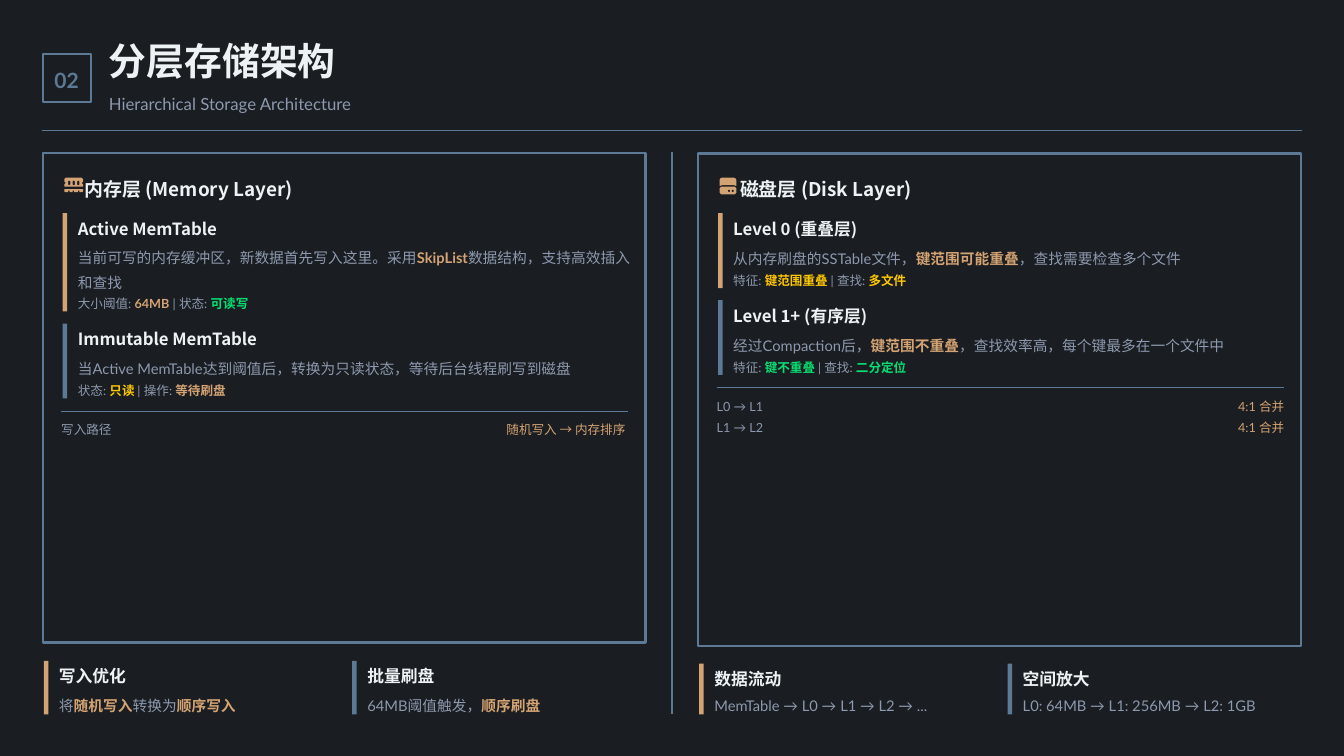
from dataclasses import dataclass

from lxml.etree import SubElement
from pptx import Presentation
from pptx.dml.color import RGBColor
from pptx.enum.shapes import MSO_CONNECTOR, MSO_SHAPE
from pptx.enum.text import MSO_ANCHOR, MSO_AUTO_SIZE, PP_ALIGN
from pptx.oxml.ns import qn
from pptx.util import Inches, Pt

COLORS = {"bg": "1A1D21", "steel": "5C7A96", "white": "EDF2F4", "grey": "8D99AE",
          "tan": "D4A373", "green": "05DF72", "yellow": "FDC700"}
LATO, NOTO = "Lato", "Noto Sans CJK SC"
TITLE_H, META_H, BODY_TOP, GAP = 0.33, 0.22, 0.39, 0.16

Run = tuple[str, str]  # text, colour name; colours other than grey are bold
Points = list[tuple[float, float]]


@dataclass
class Entry:
    title: str
    body: list[Run]
    meta: list[Run] | None = None
    body_h: float = 0.32
    spacing: float = 1.4

    @property
    def height(self) -> float:
        return BODY_TOP + self.body_h + (0.06 + META_H if self.meta else 0)


@dataclass
class Flow:
    label: str
    value: str
    label_w: float
    value_w: float


@dataclass
class Panel:
    x: float
    height: float
    heading: str
    icon: list[Points]
    entries: list[Entry]
    flows: list[Flow]
    notes: list[Entry]


def rgb(name: str) -> RGBColor:
    return RGBColor.from_string(COLORS[name])


def fill_text(sp, runs: list[Run], *, size: float, font: str = LATO,
              bold: bool | None = None, spacing: float = 1.3) -> None:
    tf = sp.text_frame
    tf.word_wrap, tf.auto_size = True, MSO_AUTO_SIZE.NONE
    tf.vertical_anchor = MSO_ANCHOR.MIDDLE
    tf.margin_left = tf.margin_right = tf.margin_top = tf.margin_bottom = 0
    p = tf.paragraphs[0]
    p.alignment, p.line_spacing = PP_ALIGN.LEFT, spacing
    p.space_before = Pt(0)
    for text, color in runs:
        r = p.add_run()
        r.text = text
        r.font.size, r.font.name = Pt(size), font
        r.font.bold = color != "grey" if bold is None else bold
        r.font.color.rgb = rgb(color)
        SubElement(r.font._element, qn("a:ea")).set("typeface", NOTO)


def add_text(s, x: float, y: float, w: float, h: float, runs: list[Run], **fmt) -> None:
    sp = s.shapes.add_textbox(Inches(x), Inches(y), Inches(w), Inches(h))
    fill_text(sp, runs, **fmt)


def add_rect(s, x: float, y: float, w: float, h: float, *,
             fill: str | None = None, line: str | None = None) -> None:
    sp = s.shapes.add_shape(MSO_SHAPE.RECTANGLE, Inches(x), Inches(y), Inches(w), Inches(h))
    sp.shadow.inherit = False
    if fill:
        sp.fill.solid()
        sp.fill.fore_color.rgb = rgb(fill)
    else:
        sp.fill.background()
    if line:
        sp.line.color.rgb, sp.line.width = rgb(line), Pt(2)
    else:
        sp.line.fill.background()


def add_rule(s, x1: float, y1: float, x2: float, y2: float) -> None:
    c = s.shapes.add_connector(MSO_CONNECTOR.STRAIGHT, Inches(x1), Inches(y1),
                               Inches(x2), Inches(y2))
    c.line.color.rgb, c.line.width = rgb("steel"), Pt(1)
    SubElement(c._element.spPr, qn("a:effectLst"))


def cut_box(x: float, y: float, w: float, h: float, cut: float) -> Points:
    """Outline of a box with its four corners cut off."""
    r, b = x + w, y + h
    return [(x + cut, y), (r - cut, y), (r, y + cut), (r, b - cut),
            (r - cut, b), (x + cut, b), (x, b - cut), (x, y + cut)]


def memory_icon() -> list[Points]:
    body = [(0, 2), (2, 0), (23, 0), (25, 2), (25, 5), (23, 7), (25, 9),
            (25, 12), (0, 12), (0, 9), (2, 7), (0, 5)]
    feet = [(0, 15), (25, 15), (25, 18), (24, 19)]
    for x in (18, 11.5, 5):
        feet += [(x + 2, 19), (x + 2, 17.5), (x, 17.5), (x, 19)]
    feet += [(1, 19), (0, 18)]
    return [body, feet] + [cut_box(x, 4, 3, 6, 0.8) for x in (4.75, 11, 17.25)]


def disk_icon() -> list[Points]:
    top = [(0, 3), (1, 1), (3, 0), (19, 0), (21, 1), (22, 3), (22, 11), (19, 10), (3, 10), (0, 11)]
    return [top, cut_box(0, 12, 22, 10, 2)] + [cut_box(x, 16, 3, 3, 0.9) for x in (11, 16)]


def add_icon(s, x: float, y: float, outlines: list[Points]) -> None:
    """Draw outlines, in hundredths of an inch, as one shape with holes."""
    placed = [[(100 * x + px, 100 * y + py) for px, py in pts] for pts in outlines]
    fb = s.shapes.build_freeform(*placed[0][0], scale=Inches(0.01))
    for i, pts in enumerate(placed):
        if i:
            fb.move_to(*pts[0])
        fb.add_line_segments(pts[1:], close=True)
    sp = fb.convert_to_shape()
    sp.shadow.inherit = False
    sp.fill.solid()
    sp.fill.fore_color.rgb = rgb("tan")
    sp.line.fill.background()


def add_entry(s, x: float, y: float, w: float, entry: Entry, bar: str) -> None:
    add_rect(s, x, y, 0.06, entry.height, fill=bar)
    tx = x + 0.2
    add_text(s, tx, y, w, TITLE_H, [(entry.title, "white")], size=16, font=NOTO)
    add_text(s, tx, y + BODY_TOP, w, entry.body_h, entry.body, size=14, spacing=entry.spacing)
    if entry.meta:
        add_text(s, tx, y + entry.height - META_H, w, META_H, entry.meta, size=12, spacing=1.1)


def add_panel(s, panel: Panel) -> None:
    x, top = panel.x, 2.03
    add_rect(s, x, top, 7.97, panel.height, line="steel")
    add_icon(s, x + 0.28, 2.35, panel.icon)
    add_text(s, x + 0.55, 2.26, 7.31, 0.39, [(panel.heading, "white")], size=18, font=NOTO)
    y = 2.82
    for entry, bar in zip(panel.entries, ("tan", "steel")):
        add_entry(s, x + 0.26, y, 7.38, entry, bar)
        y += entry.height + GAP
    add_rule(s, x + 0.24, y + 0.01, x + 7.74, y + 0.01)
    for i, f in enumerate(panel.flows):
        row_y = y + 0.13 + 0.28 * i
        add_text(s, x + 0.24, row_y, f.label_w, META_H, [(f.label, "grey")], size=12, spacing=1.1)
        add_text(s, x + 7.81 - f.value_w, row_y, f.value_w, META_H, [(f.value, "tan")],
                 size=12, spacing=1.1, bold=False)
    for i, (note, bar) in enumerate(zip(panel.notes, ("tan", "steel"))):
        add_entry(s, x + 0.01 + 4.08 * i, top + panel.height + 0.24, 3.8, note, bar)


PANELS = [
    Panel(0.57, 6.47, "内存层 (Memory Layer)", memory_icon(), [
        Entry("Active MemTable",
              [("当前可写的内存缓冲区，新数据首先写入这里。采用", "grey"), ("SkipList", "tan"),
               ("数据结构，支持高效插入和查找", "grey")],
              [("大小阈值: ", "grey"), ("64MB", "tan"), (" | 状态: ", "grey"), ("可读写", "green")],
              body_h=0.63),
        Entry("Immutable MemTable",
              [("当Active MemTable达到阈值后，转换为只读状态，等待后台线程刷写到磁盘", "grey")],
              [("状态: ", "grey"), ("只读", "yellow"), (" | 操作: ", "grey"), ("等待刷盘", "tan")]),
    ], [Flow("写入路径", "随机写入 → 内存排序", 0.75, 1.68)], [
        Entry("写入优化", [("将", "grey"), ("随机写入", "tan"), ("转换为", "grey"),
                       ("顺序写入", "tan")]),
        Entry("批量刷盘", [("64MB阈值触发，", "grey"), ("顺序刷盘", "tan")]),
    ]),
    Panel(9.24, 6.51, "磁盘层 (Disk Layer)", disk_icon(), [
        Entry("Level 0 (重叠层)",
              [("从内存刷盘的SSTable文件，", "grey"), ("键范围可能重叠", "tan"),
               ("，查找需要检查多个文件", "grey")],
              [("特征: ", "grey"), ("键范围重叠", "yellow"), (" | 查找: ", "grey"),
               ("多文件", "yellow")]),
        Entry("Level 1+ (有序层)",
              [("经过Compaction后，", "grey"), ("键范围不重叠", "tan"),
               ("，查找效率高，每个键最多在一个文件中", "grey")],
              [("特征: ", "grey"), ("键不重叠", "green"), (" | 查找: ", "grey"),
               ("二分定位", "green")]),
    ], [Flow(label, "4:1 合并", 0.71, 0.67) for label in ("L0 → L1", "L1 → L2")], [
        Entry("数据流动", [("MemTable → L0 → L1 → L2 → ...", "grey")], body_h=0.28, spacing=1.2),
        Entry("空间放大", [("L0: 64MB → L1: 256MB → L2: 1GB", "grey")], body_h=0.28, spacing=1.2),
    ]),
]


def main() -> None:
    prs = Presentation()
    prs.slide_width, prs.slide_height = Inches(17.78), Inches(10)
    s = prs.slides.add_slide(prs.slide_layouts[5])
    s.background.fill.solid()
    s.background.fill.fore_color.rgb = rgb("bg")

    title = s.shapes.title
    title.left, title.top, title.width, title.height = map(Inches, (1.44, 0.56, 3.65, 0.56))
    fill_text(title, [("分层存储架构", "white")], size=36, font=NOTO, spacing=0.9)
    add_rect(s, 0.57, 0.71, 0.64, 0.64, line="steel")
    add_text(s, 0.72, 0.83, 0.47, 0.39, [("02", "steel")], size=20, spacing=1.2)
    add_text(s, 1.44, 1.17, 3.51, 0.33, [("Hierarchical Storage Architecture", "grey")], size=16)
    add_rule(s, 0.56, 1.73, 17.22, 1.73)
    add_rule(s, 8.89, 2.01, 8.89, 9.44)
    for panel in PANELS:
        add_panel(s, panel)
    prs.save("out.pptx")


if __name__ == "__main__":
    main()
